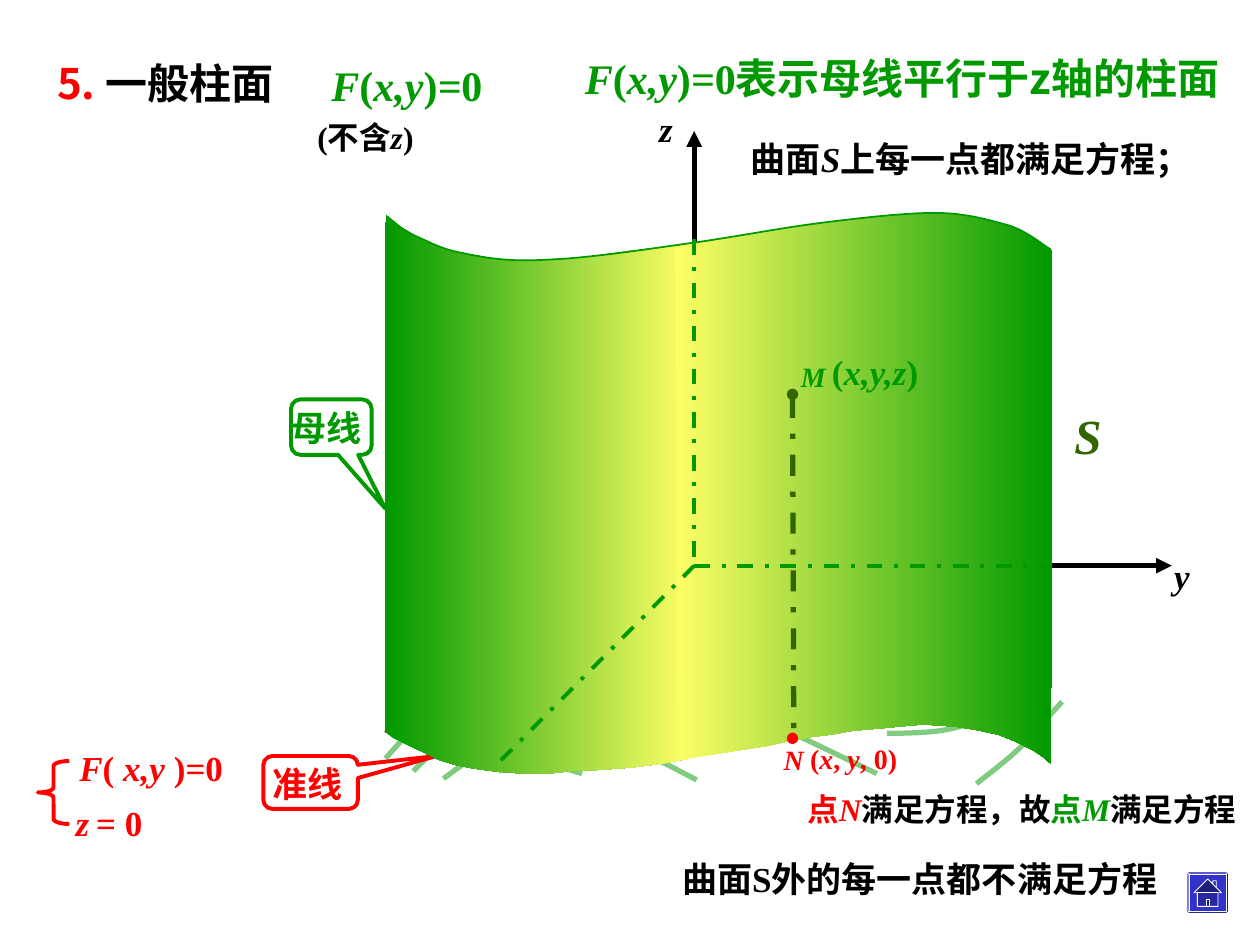
from dataclasses import dataclass

from lxml import etree
from pptx import Presentation
from pptx import util as u
from pptx.dml.color import RGBColor
from pptx.enum import dml, shapes, text
from pptx.oxml.ns import qn

PX = 9144  # 100 px to the inch


@dataclass(frozen=True)
class Theme:
    black: str = "000000"
    red: str = "FF0000"
    green: str = "009900"
    olive: str = "336600"
    yellow: str = "FFFF66"
    blue: str = "3333CC"
    white: str = "FFFFFF"
    serif: str = "Times New Roman"
    sans: str = "Noto Sans CJK SC"
    symbol: int = 28
    heading: int = 24
    body: int = 20
    note: int = 18
    small: int = 16


THEME = Theme()


@dataclass(frozen=True)
class Span:
    text: str
    italic: bool = False
    colour: str = ""
    font: str = THEME.serif
    size: int = 0


def it(words, colour=""):
    return Span(words, True, colour)


EQUATION = (it("F"), Span("("), it("x,y"), Span(")"), it("="), Span("0"))

# Bezier triples after the start point, relative to it
WAVE = [((4, 2), (12, 7), (22, 12)), ((32, 16), (43, 23), (61, 26)),
        ((79, 30), (99, 33), (129, 31)), ((159, 30), (205, 23), (241, 18)),
        ((277, 13), (312, 6), (344, 2)), ((376, -2), (410, -6), (435, -6)),
        ((460, -6), (479, 0), (494, 4)), ((509, 9), (520, 19), (527, 23))]

# Start point, then Bezier triples or end points of straight strokes
GROUND_STROKES = [
    ((6, 502), [(38, 466)]),
    ((28, 512), [(60, 480)]),
    ((96, 512), [((101, 511), (115, 505), (126, 506)), ((137, 506), (155, 512), (162, 514))]),
    ((168, 482), [((174, 484), (190, 489), (205, 495)), ((219, 501), (243, 514), (253, 519))]),
    ((271, 454), [(396, 514)]),
    ((404, 482), [((411, 482), (432, 482), (446, 480)), ((460, 478), (479, 472), (487, 469))]),
    ((475, 522), [((481, 517), (500, 503), (511, 492)), ((522, 481), (536, 464), (543, 457))]),
    ((52, 518), [((56, 515), (68, 506), (76, 501)), ((84, 497), (93, 493), (101, 491))]),
]

LEFT_SHEET = [
    (6, 70), (6, 481), (11, 485), (23, 491), (38, 498), (48, 503), (61, 507), (76, 510),
    (91, 512), (115, 514), (135, 514), (153, 512), (177, 511), (203, 509), (226, 506),
    (247, 502), (245, 94), (202, 99), (172, 103), (151, 106), (133, 107), (115, 107),
    (95, 106), (79, 103), (67, 101), (56, 99), (45, 95), (35, 90), (26, 85), (18, 80)]
RIGHT_SHEET = [
    (236, 95), (239, 503), (277, 497), (309, 492), (327, 488), (344, 485), (360, 483),
    (377, 480), (400, 478), (421, 476), (433, 475), (448, 476), (460, 477), (473, 479),
    (492, 483), (507, 489), (521, 496), (528, 501), (534, 506), (535, 99), (522, 91),
    (512, 84), (501, 80), (490, 76), (480, 74), (470, 72), (454, 70), (436, 69),
    (419, 70), (397, 72), (378, 74), (341, 79), (316, 83), (274, 89)]


def rgb(colour):
    return RGBColor.from_string(colour)


def bezier(start, parts, steps=12):
    """Points along a chain of cubic parts; a bare point is a straight part."""
    points = [start]
    for part in parts:
        if not isinstance(part[0], tuple):
            points.append(part)
            continue
        a, (b, c, d) = points[-1], part
        for step in range(1, steps + 1):
            t = step / steps
            weights = ((1 - t) ** 3, 3 * t * (1 - t) ** 2, 3 * t * t * (1 - t), t ** 3)
            points.append(tuple(sum(w * p[axis] for w, p in zip(weights, (a, b, c, d)))
                                for axis in (0, 1)))
    return points


class Region:
    """Draws on a page relative to the top left corner of a box."""

    def __init__(self, page, box):
        self.shapes, (self.left, self.top) = page.shapes, box[:2]

    def emu(self, x, y):
        return round((self.left + x) * PX), round((self.top + y) * PX)

    def label(self, box, size, colour, *spans):
        x, y, width, height = box
        frame = self.shapes.add_textbox(*self.emu(x, y), width * PX, height * PX).text_frame
        frame.word_wrap = False
        frame.margin_left = frame.margin_right = 0
        frame.vertical_anchor = text.MSO_ANCHOR.MIDDLE
        para = frame.paragraphs[0]
        para.alignment = text.PP_ALIGN.CENTER
        for span in spans:
            run = para.add_run()
            run.text = span.text
            font = run.font
            font.name, font.size = span.font, u.Pt(span.size or size)
            font.bold, font.italic = True, span.italic
            font.color.rgb = rgb(span.colour or colour)
            east_asian = etree.SubElement(run._r.get_or_add_rPr(), qn("a:ea"))
            east_asian.set("typeface", THEME.sans)

    def line(self, start, end, colour, width, dashed=False, arrow=False):
        line = self.shapes.add_connector(
            shapes.MSO_CONNECTOR.STRAIGHT, *self.emu(*start), *self.emu(*end))
        line.line.color.rgb, line.line.width = rgb(colour), u.Pt(width)
        if dashed:
            line.line.dash_style = dml.MSO_LINE.DASH_DOT
        if arrow:
            etree.SubElement(line.line._get_or_add_ln(), qn("a:tailEnd")).set("type", "triangle")
        etree.SubElement(line._element.spPr, qn("a:effectLst"))

    def outline(self, points, close=False):
        spots = [self.emu(*point) for point in points]
        builder = self.shapes.build_freeform(*spots[0], scale=1.0)
        builder.add_line_segments(spots[1:], close=close)
        shape = builder.convert_to_shape()
        shape.shadow.inherit = False
        return shape

    def curve(self, points, colour, width, alpha=100):
        shape = self.outline(points)
        shape.fill.background()
        shape.line.color.rgb, shape.line.width = rgb(colour), u.Pt(width)
        if alpha < 100:
            tone = shape.line._get_or_add_ln().find(".//" + qn("a:srgbClr"))
            etree.SubElement(tone, qn("a:alpha")).set("val", str(alpha * 1000))

    def preset(self, kind, box, colour, width, fill=None, adjust=()):
        x, y, w, h = box
        shape = self.shapes.add_shape(kind, *self.emu(x, y), w * PX, h * PX)
        shape.shadow.inherit = False
        shape.line.color.rgb, shape.line.width = rgb(colour), u.Pt(width)
        if fill:
            shape.fill.solid()
            shape.fill.fore_color.rgb = rgb(fill)
        else:
            shape.fill.background()
        for index, value in enumerate(adjust):
            shape.adjustments[index] = value


def draw_axes(page, box):
    area, origin = Region(page, box), (251, 349)
    for end in ((630, 349), (251, 4), (100, 501)):
        area.line(origin, end, THEME.black, 3, arrow=True)
    area.label((181, -20, 95, 44), THEME.body, THEME.black, it("z"))
    area.label((611, 335, 54, 44), THEME.body, THEME.black, it("y"))


def wave_at(x, y):
    return bezier((x, y), [tuple((x + a, y + b) for a, b in part) for part in WAVE])


def draw_ground(page, box):
    """Directrix and the strokes of the ground plane."""
    area = Region(page, box)
    area.curve(wave_at(6, 479), THEME.red, 3)
    for start, parts in GROUND_STROKES:
        area.curve(bezier(start, parts), THEME.green, 3, alpha=50)


def draw_callout(page, box, words, colour, text_box, tip):
    area = Region(page, box)
    area.preset(shapes.MSO_SHAPE.ROUNDED_RECTANGULAR_CALLOUT, (0, 0, *box[2:]),
                colour, 2.25, adjust=(*tip, 0.17))
    area.label(text_box, THEME.body, colour, Span(words))


def draw_system(page, box):
    """Braced pair of equations of the directrix."""
    area = Region(page, box)
    area.label((13, 0, 154, 44), THEME.body, THEME.red,
               it("F"), Span("("), it(" x,y"), Span(" )"), it("="), Span("0"))
    area.label((16, 44, 81, 44), THEME.body, THEME.red,
               it("z"), Span(" ", size=THEME.small), Span("= 0"))
    area.preset(shapes.MSO_SHAPE.LEFT_BRACE, (0, 17, 25, 50), THEME.red, 2.25,
                adjust=(0.16, 0.5))


def draw_cylinder(page, box):
    area, origin = Region(page, box), (251, 349)
    halves = ((LEFT_SHEET, (THEME.green, THEME.yellow)),
              (RIGHT_SHEET, (THEME.yellow, THEME.green)))
    for points, colours in halves:
        sheet = area.outline(points, close=True)
        sheet.line.fill.background()
        sheet.fill.gradient()
        sheet.fill.gradient_angle = 0
        for stop, colour in zip(sheet.fill.gradient_stops, colours):
            stop.color.rgb = rgb(colour)
    area.line((8, 482), (8, 76), THEME.green, 3)
    area.curve(wave_at(7, 75), THEME.green, 1)
    area.line((251, 90), origin, THEME.green, 2.25, dashed=True)
    for end in ((534, 349), (96, 505)):
        area.line(origin, end, THEME.green, 2.25, dashed=True)
    area.label((543, 217, 41, 57), THEME.symbol, THEME.olive, it("S"))


def draw_points(page, box):
    area = Region(page, box)
    area.label((326, 180, 39, 37), THEME.small, THEME.green, it("M"))
    area.label((350, 173, 89, 44), THEME.body, THEME.green,
               Span("("), it("x,y,z"), Span(")"))
    area.line((329, 215), (330, 487), THEME.olive, 3, dashed=True)
    area.label((312, 484, 36, 37), THEME.small, THEME.red, it("N"))
    area.label((333, 483, 89, 37), THEME.small, THEME.red,
               Span("("), it("x"), Span(", "), it("y"), Span(", 0)"))
    for y, colour in ((209, THEME.olive), (482, THEME.red)):
        area.preset(shapes.MSO_SHAPE.OVAL, (325, y, 8, 8), colour, 0.75, fill=colour)


def draw_heading(page, box):
    area = Region(page, box)
    area.label((0, 4, 198, 50), THEME.heading, THEME.black,
               Span("5. ", colour=THEME.red, font=THEME.sans), Span("一般柱面"))
    area.label((221, 5, 140, 50), THEME.heading, THEME.green, *EQUATION)
    area.label((201, 52, 114, 40), THEME.note, THEME.black,
               Span("(不含"), it("z"), Span(")"))
    area.label((409, 0, 550, 50), THEME.heading, THEME.green, *EQUATION,
               Span("表示母线平行于z轴的柱面", font=THEME.sans))
    area.label((547, 67, 383, 44), THEME.body, THEME.black,
               Span("曲面"), it("S"), Span("上每一点都满足方程；"))


def draw_conclusion(page, box):
    area = Region(page, box)
    area.label((94, 0, 384, 40), THEME.note, THEME.black,
               Span("点", colour=THEME.red), it("N", THEME.red), Span("满足方程，故"),
               Span("点", colour=THEME.green), it("M", THEME.green), Span("满足方程"))
    area.label((0, 53, 410, 44), THEME.body, THEME.black,
               Span("曲面S外的每一点都不满足方程"))
    area.preset(shapes.MSO_SHAPE.BEVEL, (417, 70, 33, 33),
                THEME.white, 0.5, fill=THEME.blue, adjust=(0.06,))
    area.preset(shapes.MSO_SHAPE.ACTION_BUTTON_HOME, (419, 72, 29, 29),
                THEME.white, 0.5, fill=THEME.blue)


def main():
    deck = Presentation()
    deck.slide_width, deck.slide_height = 1000 * PX, 750 * PX
    page = deck.slides.add_slide(deck.slide_layouts[6])
    diagram = (300, 100, 665, 522)
    draw_axes(page, diagram)
    draw_ground(page, diagram)
    draw_callout(page, (231, 317, 64, 44), "母线", THEME.green, (-23, 0, 103, 44), (0.67, 1.47))
    draw_callout(page, (209, 600, 75, 42), "准线", THEME.red, (-3, 0, 76, 44), (1.33, -0.5))
    draw_system(page, (30, 587, 167, 88))
    draw_cylinder(page, diagram)
    draw_points(page, diagram)
    draw_heading(page, (32, 37, 959, 111))
    draw_conclusion(page, (525, 622, 478, 103))
    deck.save("out.pptx")


if __name__ == "__main__":
    main()
